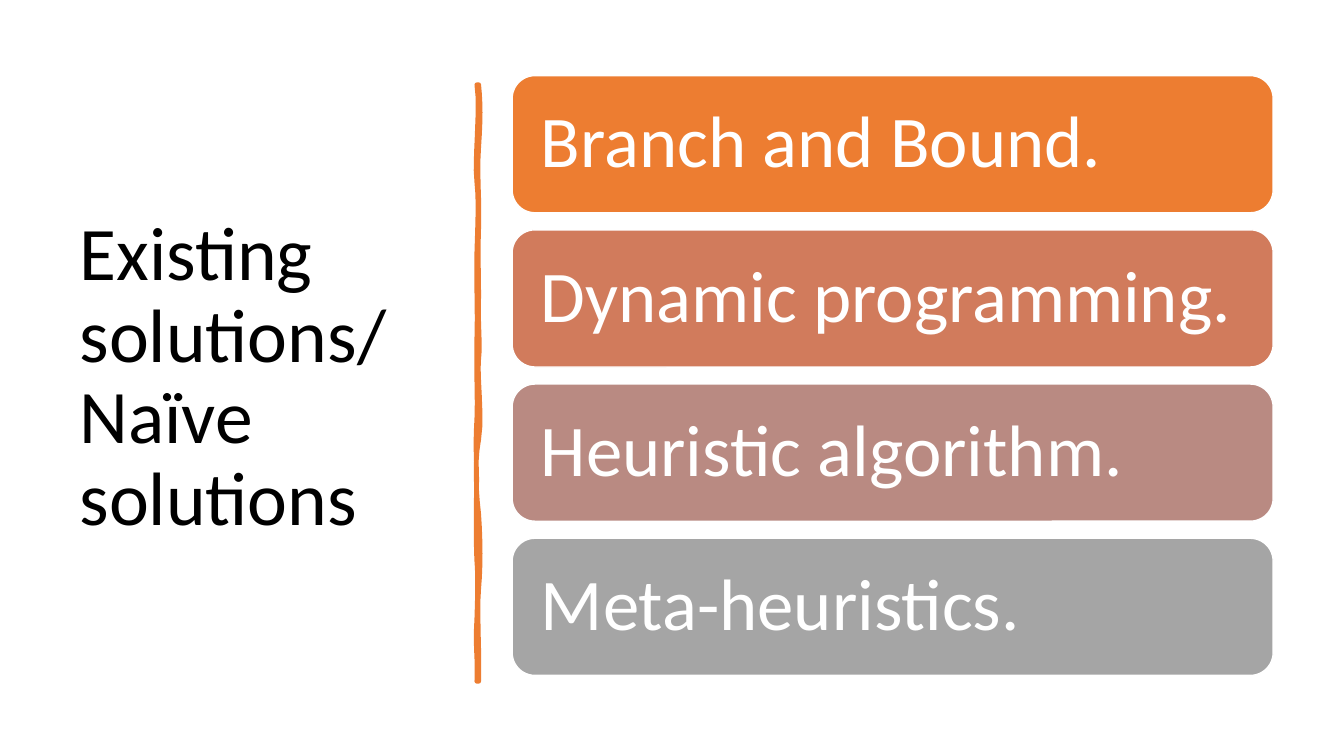
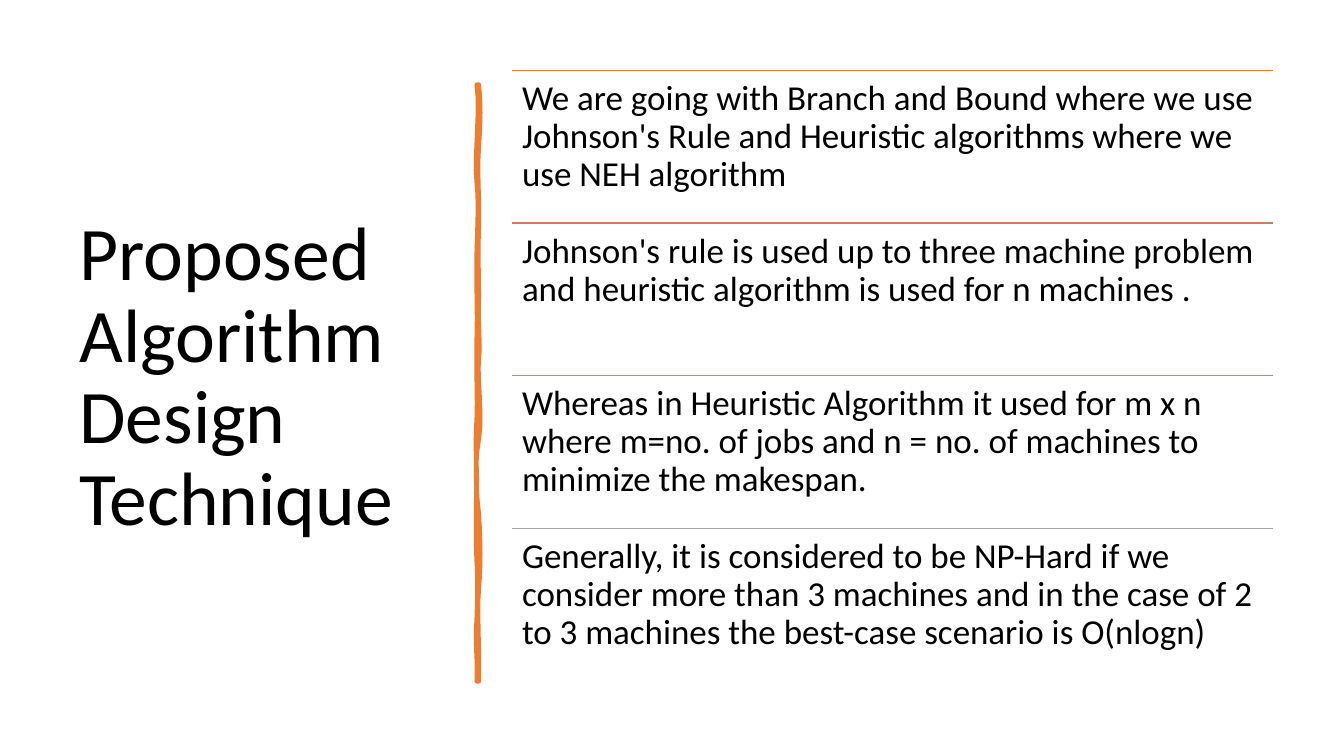
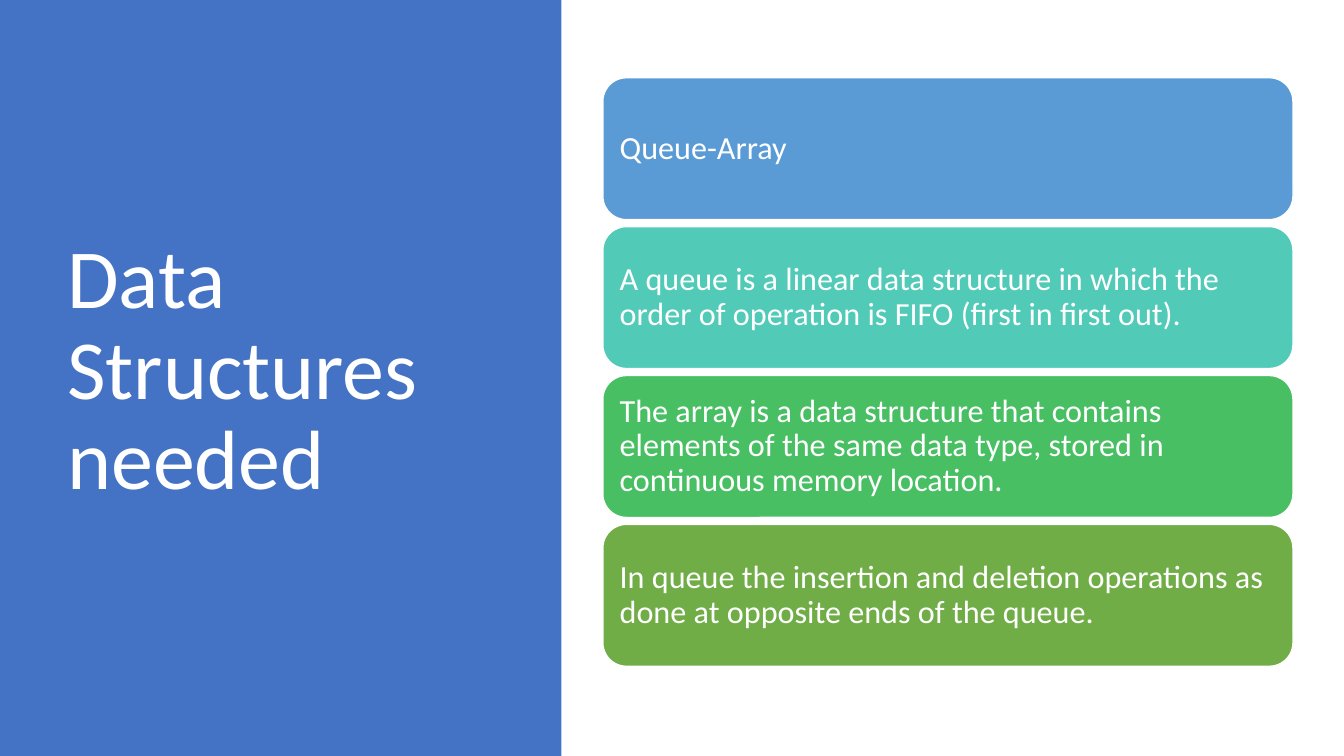
from lxml.etree import SubElement as Sub
from pptx import Presentation
from pptx.dml.color import RGBColor as RGB
from pptx.enum.shapes import MSO_CONNECTOR as Link, MSO_SHAPE as Kind
from pptx.enum.text import MSO_ANCHOR as Anchor, PP_ALIGN as Align
from pptx.oxml.ns import qn
from pptx.util import Pt

FONT = "Calibri"
HUES = {
    "white": "FFFFFF", "black": "000000", "panel": "4472C4",
    "orange": "ED7D31", "coral": "D17B5C", "rose": "B98A82", "gray": "A5A5A5",
    "blue": "5B9BD5", "teal": "52CAB8", "green": "49BF64", "olive": "70AD47",
}
WARM = ("orange", "coral", "rose", "gray")
COOL = ("blue", "teal", "green", "olive")
TOP, END = 60.5, 486.7
RIGHT = (
    (1.4, 73.4, 1.4, 85.7, 105.1), (-1.4, 124.6, 0.7, 140.4, 162.7),
    (-0.7, 185, 0, 188.6, 211.7), (-0.7, 234, 1.4, 246.2, 256.3),
    (-1.4, 266.4, 2.9, 298.1, 313.9), (-2.9, 329, -2.2, 348.5, 367.2),
    (1.4, 385.9, 1.4, 406.1, 420.5), (-1.4, 434.2, 0.7, 468, END),
)
LEFT = (
    (0.7, 465.1, -1.4, 463.7, 441.4), (0.7, 419.8, 0.7, 410.4, 401),
    (-0.7, 391.7, -0.7, 356.4, 343.4), (0, 330.5, -1.4, 320.4, 298.8),
    (0.7, 277.9, -0.7, 268.6, 241.2), (0.7, 214.6, -0.7, 202.3, 180),
    (0.7, 157, 1.4, 144, 130.3), (-2.2, 117.4, 2.9, 74.9, TOP),
)


def hue(name):
    """Return the named colour."""
    return RGB.from_string(HUES[name])


def write(shape, text, size, color, pad=None, anchor=Anchor.MIDDLE):
    """Set one wrapped, left-aligned paragraph in a shape."""
    frame = shape.text_frame
    frame.word_wrap = True
    frame.vertical_anchor = anchor
    if pad is not None:
        frame.margin_left = frame.margin_right = Pt(pad)
        frame.margin_top = frame.margin_bottom = Pt(pad)
    para = frame.paragraphs[0]
    para.text = text
    para.alignment = Align.LEFT
    para.line_spacing = 0.9
    para.font.name = FONT
    para.font.size = Pt(size)
    para.font.color.rgb = hue(color)


def label(slide, box, text, size, color, **style):
    """Add a text box."""
    shape = slide.shapes.add_textbox(*map(Pt, box))
    write(shape, text, size, color, **style)


def block(slide, kind, box, color, edge=None):
    """Add a flat filled shape."""
    shape = slide.shapes.add_shape(kind, *map(Pt, box))
    shape.shadow.inherit = False
    shape.fill.solid()
    shape.fill.fore_color.rgb = hue(color)
    if edge:
        shape.line.color.rgb = hue(edge)
        shape.line.width = Pt(1)
    else:
        shape.line.fill.background()
    return shape


def cards(slide, box, step, texts, colors, size, pad):
    """Stack rounded cards at an even step."""
    left, top, width, height = box
    for row, (text, color) in enumerate(zip(texts, colors)):
        place = (left, top + row * step, width, height)
        card = block(slide, Kind.ROUNDED_RECTANGLE, place, color, "white")
        write(card, text, size, "white", pad)


def rule(slide, left, top, width, color):
    """Draw a thin level line."""
    ends = (left, top, left + width, top)
    line = slide.shapes.add_connector(Link.STRAIGHT, *map(Pt, ends))
    line.line.color.rgb = hue(color)
    line.line.width = Pt(1)
    Sub(line._element.spPr, qn("a:effectLst"))


def trace(x, y, curves, steps=6):
    """Sample points along the curves of one edge."""
    spots = []
    for dx1, y1, dx2, y2, end in curves:
        for step in range(1, steps + 1):
            t = step / steps
            u = 1 - t
            b1, b2 = 3 * u * u * t, 3 * u * t * t
            across = x + b1 * dx1 + b2 * dx2
            down = u ** 3 * y + b1 * y1 + b2 * y2 + t ** 3 * end
            spots.append((Pt(across), Pt(down)))
        y = end
    return spots


def stroke(slide):
    """Draw the wavy upright divider."""
    right, left = 342, 340.6
    pen = slide.shapes.build_freeform(Pt(right), Pt(TOP))
    spots = trace(right, TOP, RIGHT) + [(Pt(left), Pt(END))]
    pen.add_line_segments(spots + trace(left, END, LEFT), close=True)
    wave = pen.convert_to_shape()
    wave.shadow.inherit = False
    wave.fill.solid()
    wave.fill.fore_color.rgb = hue("orange")
    wave.line.color.rgb = hue("orange")
    wave.line.width = Pt(3.25)


def split(deck, title):
    """Add a slide with a side title and divider."""
    slide = deck.slides.add_slide(deck.slide_layouts[6])
    label(slide, (49.7, 50.4, 269.3, 440), title, 54, "black")
    stroke(slide)
    return slide


def known(deck):
    """Build the slide of existing solutions."""
    slide = split(deck, "Existing solutions/ Naïve solutions")
    texts = ("Branch and Bound.", "Dynamic programming.",
             "Heuristic algorithm.", "Meta-heuristics.")
    cards(slide, (365.8, 54, 543.6, 98), 110.15, texts, WARM, 52, 15.8)


def plan(deck):
    """Build the slide of the proposed technique."""
    slide = split(deck, "Proposed Algorithm Design Technique")
    texts = (
        "We are going with Branch and Bound where we use Johnson's Rule "
        "and Heuristic algorithms where we use NEH algorithm",
        "Johnson's rule is used up to three machine problem and heuristic "
        "algorithm is used for n machines .",
        "Whereas in Heuristic Algorithm it used for m x n where m=no. of "
        "jobs and n = no. of machines to minimize the makespan.",
        "Generally, it is considered to be NP-Hard if we consider more than "
        "3 machines and in the case of 2 to 3 machines the best-case "
        "scenario is O(nlogn)",
    )
    left, width, step = 365.8, 543.6, 109
    for row, (text, color) in enumerate(zip(texts, WARM)):
        top = 50.3 + row * step
        rule(slide, left, top, width, color)
        label(slide, (left, top, width, step), text, 25, "black",
              pad=7.2, anchor=Anchor.TOP)


def needs(deck):
    """Build the slide of data structures."""
    slide = deck.slides.add_slide(deck.slide_layouts[6])
    block(slide, Kind.RECTANGLE, (0, 0, 401, 540), "panel")
    label(slide, (41, 49, 299.5, 433.4), "Data Structures needed", 60, "white")
    texts = (
        "Queue-Array",
        "A queue is\u00a0a linear data structure in\u00a0which the order of "
        "operation is FIFO (first in first out).",
        "The array is a data structure that contains elements of the same "
        "data type, stored in continuous memory location.",
        "In queue the insertion and deletion operations as done at opposite "
        "ends of the queue.",
    )
    cards(slide, (430.6, 55.5, 493, 101.4), 106.35, texts, COOL, 23, 7.2)


def main():
    """Build and save the deck."""
    deck = Presentation()
    deck.slide_width, deck.slide_height = Pt(960), Pt(540)
    known(deck)
    plan(deck)
    needs(deck)
    deck.save("out.pptx")


main()
